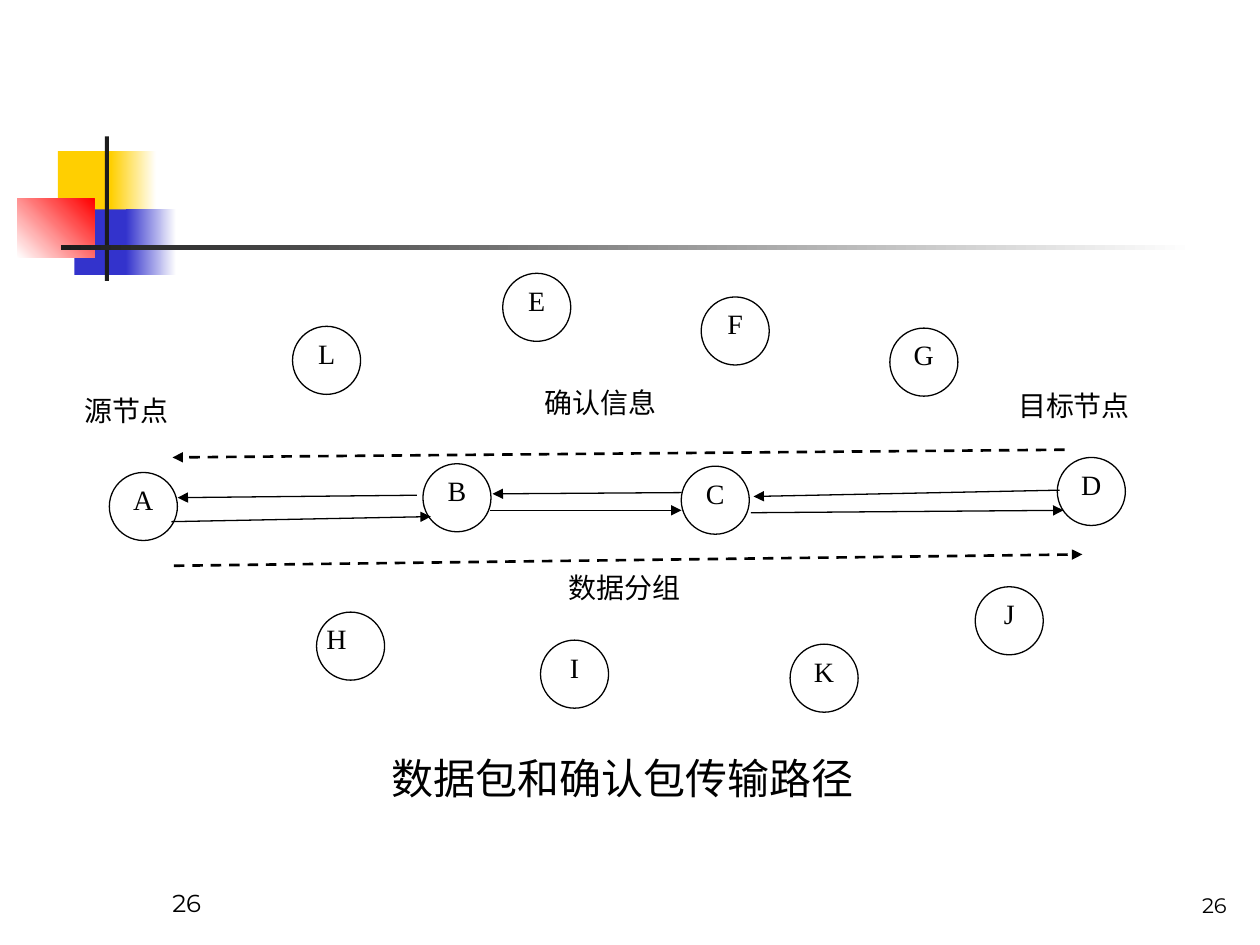
from lxml import etree
from pptx import Presentation
from pptx.dml.color import RGBColor
from pptx.enum.dml import MSO_LINE
from pptx.enum.shapes import MSO_CONNECTOR, MSO_SHAPE
from pptx.enum.text import MSO_ANCHOR, PP_ALIGN
from pptx.oxml.ns import qn
from pptx.util import Pt

RECT, OVAL = MSO_SHAPE.RECTANGLE, MSO_SHAPE.OVAL
STRAIGHT, DASH = MSO_CONNECTOR.STRAIGHT, MSO_LINE.DASH
TOP, MID, LOW = MSO_ANCHOR.TOP, MSO_ANCHOR.MIDDLE, MSO_ANCHOR.BOTTOM
LEFT, RIGHT = PP_ALIGN.LEFT, PP_ALIGN.RIGHT
CENTER, FULL = PP_ALIGN.CENTER, PP_ALIGN.JUSTIFY

INK, WHITE, DARK = "000000", "FFFFFF", "1C1C1C"
GOLD, BLUE, RED = "FFCF01", "3333CC", "FF0000"
SERIF, SANS, DIGIT = "Times New Roman", "Arial", "Montserrat"


def color(code):
    return RGBColor.from_string(code)


def write(frame, text, size=16, font=SERIF, align=FULL, anchor=TOP,
          inset=(0, 0), wrap=True):
    frame.word_wrap = wrap
    frame.vertical_anchor = anchor
    frame.margin_left = frame.margin_right = Pt(inset[0])
    frame.margin_top = frame.margin_bottom = Pt(inset[1])
    para = frame.paragraphs[0]
    para.alignment = align
    run = para.add_run()
    run.text = text
    run.font.size = Pt(size)
    run.font.name = font
    run.font.color.rgb = color(INK)


class Board:
    node_size = 38.9
    thin = 0.75

    def __init__(self, slide):
        self.shapes = slide.shapes

    def shape(self, kind, box):
        item = self.shapes.add_shape(kind, *map(Pt, box))
        item.shadow.inherit = False
        return item

    def block(self, box, first, last=None, angle=0):
        item = self.shape(RECT, box)
        item.line.fill.background()
        if last is None:
            item.fill.solid()
            item.fill.fore_color.rgb = color(first)
            return
        item.fill.gradient()
        item.fill.gradient_angle = angle
        for stop, code in zip(item.fill.gradient_stops, (first, last)):
            stop.color.rgb = color(code)

    def node(self, name, left, top, align=CENTER):
        item = self.shape(OVAL, (left, top, self.node_size, self.node_size))
        item.fill.solid()
        item.fill.fore_color.rgb = color(WHITE)
        item.line.color.rgb = color(INK)
        item.line.width = Pt(self.thin)
        write(item.text_frame, name, align=align)

    def arrow(self, ends, width=thin, dash=None):
        item = self.shapes.add_connector(STRAIGHT, *map(Pt, ends))
        item.line.color.rgb = color(INK)
        item.line.width = Pt(width)
        if dash:
            item.line.dash_style = dash
        props = item.element.spPr
        etree.SubElement(props.find(qn("a:ln")), qn("a:tailEnd"), type="triangle")
        etree.SubElement(props, qn("a:effectLst"))

    def label(self, text, box, **style):
        item = self.shapes.add_textbox(*map(Pt, box))
        write(item.text_frame, text, **style)


def main():
    deck = Presentation()
    deck.slide_width, deck.slide_height = Pt(720), Pt(540)
    board = Board(deck.slides.add_slide(deck.slide_layouts[6]))

    # Corner ornament and rule
    board.block((33.1, 86.4, 34.6, 37.4), GOLD)
    board.block((63.4, 86.4, 25.9, 37.4), GOLD, WHITE)
    board.block((42.5, 119.7, 33.1, 37.4), BLUE)
    board.block((72, 119.7, 28.8, 37.4), BLUE, WHITE)
    board.block((9.9, 113.7, 44.1, 33.5), WHITE, RED, angle=45)
    board.block((59.9, 78, 2.4, 82.6), DARK)
    board.block((34.8, 140.2, 648, 2.4), DARK, WHITE)

    # Page numbers
    foot = dict(font=DIGIT, anchor=LOW, inset=(7.2, 3.6))
    board.label("26", (91.4, 492, 150, 36), size=14, align=LEFT, **foot)
    board.label("26", (540, 492, 168, 36), size=12, align=RIGHT, **foot)

    # Network nodes
    for name, left, top in (
        ("A", 62.5, 270), ("L", 167.2, 186.5), ("B", 241.7, 265),
        ("I", 308.9, 365.8), ("C", 389.3, 266.4), ("J", 557.3, 335.3),
        ("E", 287.3, 156.2), ("G", 508.5, 187.5), ("D", 604.2, 261.4),
        ("K", 451.5, 368.1), ("F", 400.7, 169.7),
    ):
        board.node(name, left, top)
    board.node("H", 180.9, 349.8, FULL)

    # Hop arrows: acknowledgements to the left, packets to the right
    for ends in (
        (238.3, 283, 101.5, 284.4),
        (389.5, 281.5, 281.5, 282.2),
        (605.5, 280.1, 430.6, 283.7),
        (97.9, 298.1, 246.2, 295.2),
        (280.1, 291.6, 389.5, 291.6),
        (429.1, 293, 607.7, 291.6),
    ):
        board.arrow(ends)

    # End-to-end paths
    for ends in ((99.4, 323.3, 618.5, 316.8), (608.4, 257, 98.6, 261.4)):
        board.arrow(ends, 1.5, DASH)

    # Labels and caption
    for text, box in (
        ("源节点", (48.2, 224.6, 82, 34.6)),
        ("目标节点", (581.8, 221.8, 84, 33)),
        ("确认信息", (311.4, 220.3, 92, 33)),
        ("数据分组", (325, 326.2, 83, 31)),
    ):
        board.label(text, box)
    board.label("数据包和确认包传输路径", (216.7, 426.2, 282.2, 36), size=24,
                font=SANS, align=LEFT, anchor=MID, inset=(7.2, 3.6), wrap=False)

    deck.save("out.pptx")


if __name__ == "__main__":
    main()
